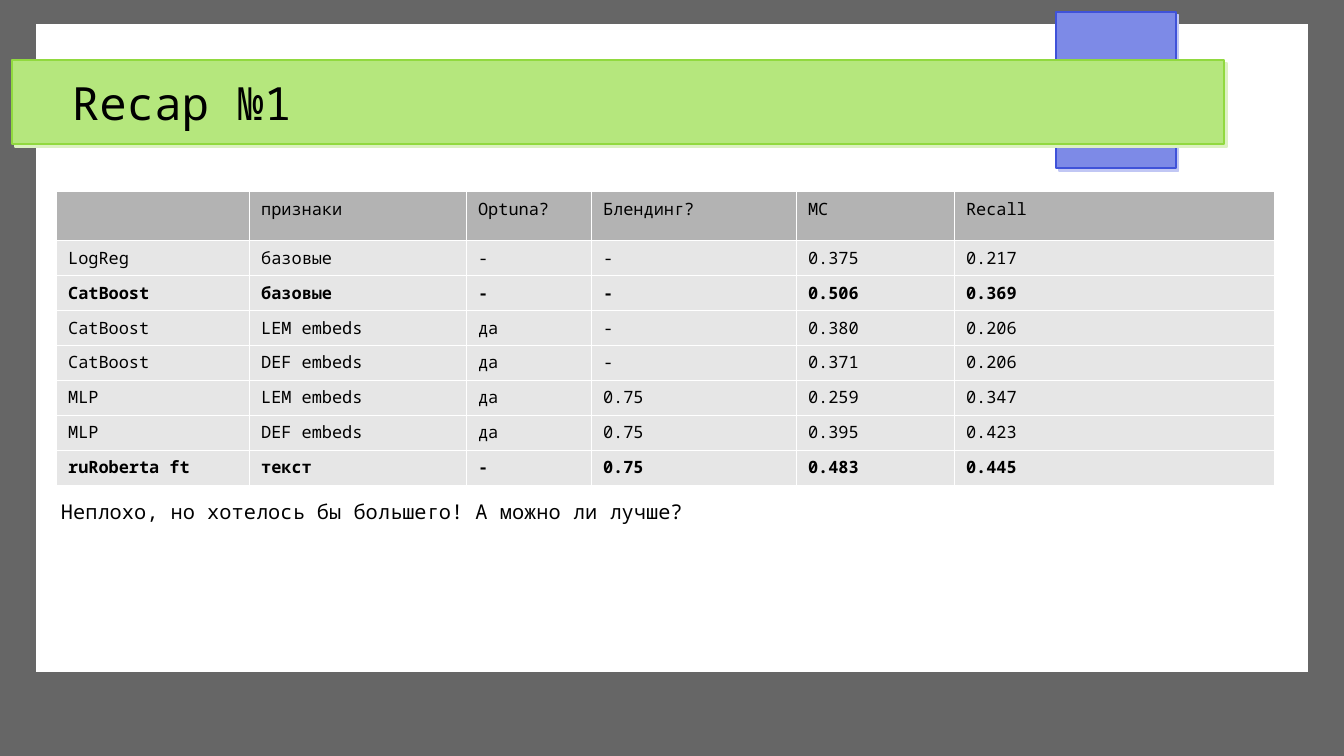
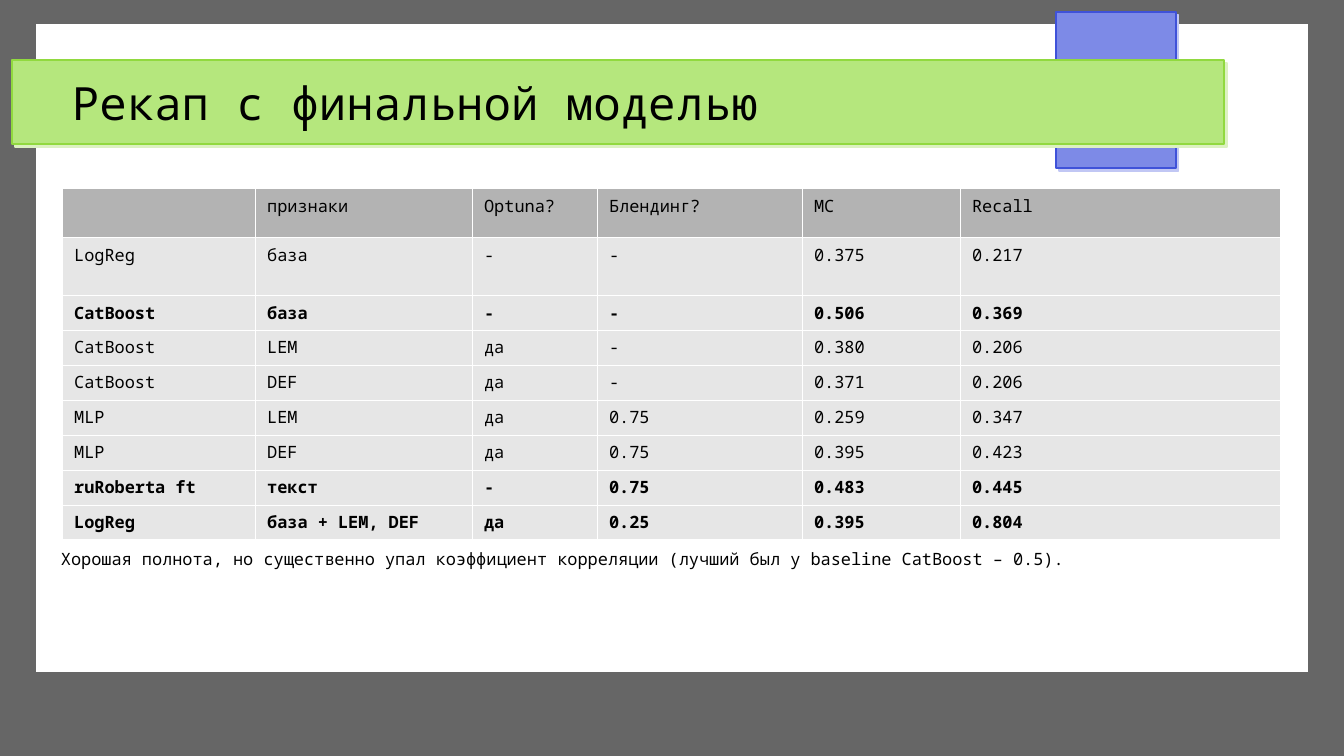
from pptx import Presentation
from pptx.dml.color import RGBColor
from pptx.enum.shapes import MSO_SHAPE
from pptx.enum.text import MSO_ANCHOR
from pptx.oxml import parse_xml
from pptx.oxml.ns import nsdecls
from pptx.util import Pt

PX = 914400 / 122
RECT = MSO_SHAPE.RECTANGLE
TOP, MIDDLE = MSO_ANCHOR.TOP, MSO_ANCHOR.MIDDLE
FONT = "Noto Sans Mono"

BLACK = RGBColor(0x00, 0x00, 0x00)
WHITE = RGBColor(0xFF, 0xFF, 0xFF)
SLATE = RGBColor(0x66, 0x66, 0x66)
HEAD = RGBColor(0xB3, 0xB3, 0xB3)
BODY = RGBColor(0xE6, 0xE6, 0xE6)
BLUE = RGBColor(0x7D, 0x8A, 0xE7)
NAVY = RGBColor(0x3F, 0x52, 0xD9)
PALE = RGBColor(0xC1, 0xC7, 0xF4)
LIME = RGBColor(0xB5, 0xE7, 0x7D)
LEAF = RGBColor(0x91, 0xD9, 0x3F)
MINT = RGBColor(0xDC, 0xF1, 0xC1)

# Shared look: place, fill, line, shadow
PANELS = [
    ((0, 0, 1344, 756), SLATE, None, None),
    ((36, 24, 1272, 648), WHITE, None, None),
    ((1056, 12, 120, 156), BLUE, NAVY, PALE),
    ((12, 60, 1212, 84), LIME, LEAF, MINT),
]

# Shared table: model, Optuna, blending, MC, recall, bold
COLS = [193, 217, 125, 205, 158, 320]
ROW = 35
NAMES = ["", "признаки", "Optuna?", "Блендинг?", "MC", "Recall"]
RUNS = [
    ("LogReg", "-", "-", "0.375", "0.217", False),
    ("CatBoost", "-", "-", "0.506", "0.369", True),
    ("CatBoost", "да", "-", "0.380", "0.206", False),
    ("CatBoost", "да", "-", "0.371", "0.206", False),
    ("MLP", "да", "0.75", "0.259", "0.347", False),
    ("MLP", "да", "0.75", "0.395", "0.423", False),
    ("ruRoberta ft", "-", "0.75", "0.483", "0.445", True),
    ("LogReg", "да", "0.25", "0.395", "0.804", True),
]

# What differs: one feature set per row also sets the number of rows
SLIDES = [
    dict(title="Recap №1", left=56, top=191, tall=[46, ROW],
         feats=["базовые", "базовые", "LEM embeds", "DEF embeds",
                "LEM embeds", "DEF embeds", "текст"],
         note="Неплохо, но хотелось бы большего! А можно ли лучше?",
         place=(61, 499, 1200, 80), size=12),
    dict(title="Рекап с финальной моделью", left=62, top=188, tall=[47, 58],
         feats=["база", "база", "LEM", "DEF", "LEM", "DEF", "текст",
                "база + LEM, DEF"],
         note="Хорошая полнота, но существенно упал коэффициент корреляции "
              "(лучший был у baseline CatBoost – 0.5).",
         place=(61, 549, 1220, 91), size=10),
]


def scale(*nums):
    return [round(n * PX) for n in nums]


def write(frame, words, size=10, bold=False, anchor=None):
    """Put words in a frame; an anchor marks a box without insets."""
    if anchor is not None:
        frame.word_wrap = True
        frame.vertical_anchor = anchor
        frame.margin_left = frame.margin_right = 0
        frame.margin_top = frame.margin_bottom = 0
    run = frame.paragraphs[0].add_run()
    run.text = words
    run.font.name = FONT
    run.font.size = Pt(size)
    run.font.bold = bold
    run.font.color.rgb = BLACK


deck = Presentation()
deck.slide_width, deck.slide_height = scale(1344, 756)

for page in SLIDES:
    slide = deck.slides.add_slide(deck.slide_layouts[6])

    # Frame, tab and title band
    for place, fill, line, shade in PANELS:
        panel = slide.shapes.add_shape(RECT, *scale(*place))
        panel.fill.solid()
        panel.fill.fore_color.rgb = fill
        panel.shadow.inherit = False
        if line is None:
            panel.line.fill.background()
            continue
        panel.line.color.rgb = line
        panel.line.width = Pt(0.85)
        panel.element.spPr.find("{*}effectLst").append(parse_xml(
            f'<a:outerShdw {nsdecls("a")} blurRad="0" dist="{Pt(2.4)}" '
            f'dir="2700000" algn="tl" rotWithShape="0">'
            f'<a:srgbClr val="{shade}"/></a:outerShdw>'))

    # Title and note
    for place, words, size, anchor in [
        ((72, 60, 1152, 84), page["title"], 27, MIDDLE),
        (page["place"], page["note"], page["size"], TOP),
    ]:
        box = slide.shapes.add_textbox(*scale(*place))
        write(box.text_frame, words, size=size, anchor=anchor)

    # Table of results
    rows = [(NAMES, False)]
    for feat, (model, *vals, bold) in zip(page["feats"], RUNS):
        rows.append(([model, feat, *vals], bold))
    tall = page["tall"] + [ROW] * (len(rows) - 2)
    table = slide.shapes.add_table(
        len(rows), len(COLS),
        *scale(page["left"], page["top"], sum(COLS), sum(tall))).table
    table.first_row = table.horz_banding = False
    for col, wide in zip(table.columns, COLS):
        col.width = round(wide * PX)
    for i, (vals, bold) in enumerate(rows):
        table.rows[i].height = round(tall[i] * PX)
        for cell, words in zip(table.rows[i].cells, vals):
            write(cell.text_frame, words, bold=bold)
            props = cell._tc.get_or_add_tcPr()
            for side in ("lnL", "lnR", "lnT", "lnB"):
                props.append(parse_xml(
                    f'<a:{side} {nsdecls("a")} w="{Pt(0.06)}"><a:solidFill>'
                    f'<a:srgbClr val="{WHITE}"/></a:solidFill></a:{side}>'))
            cell.fill.solid()
            cell.fill.fore_color.rgb = BODY if i else HEAD

deck.save("out.pptx")
